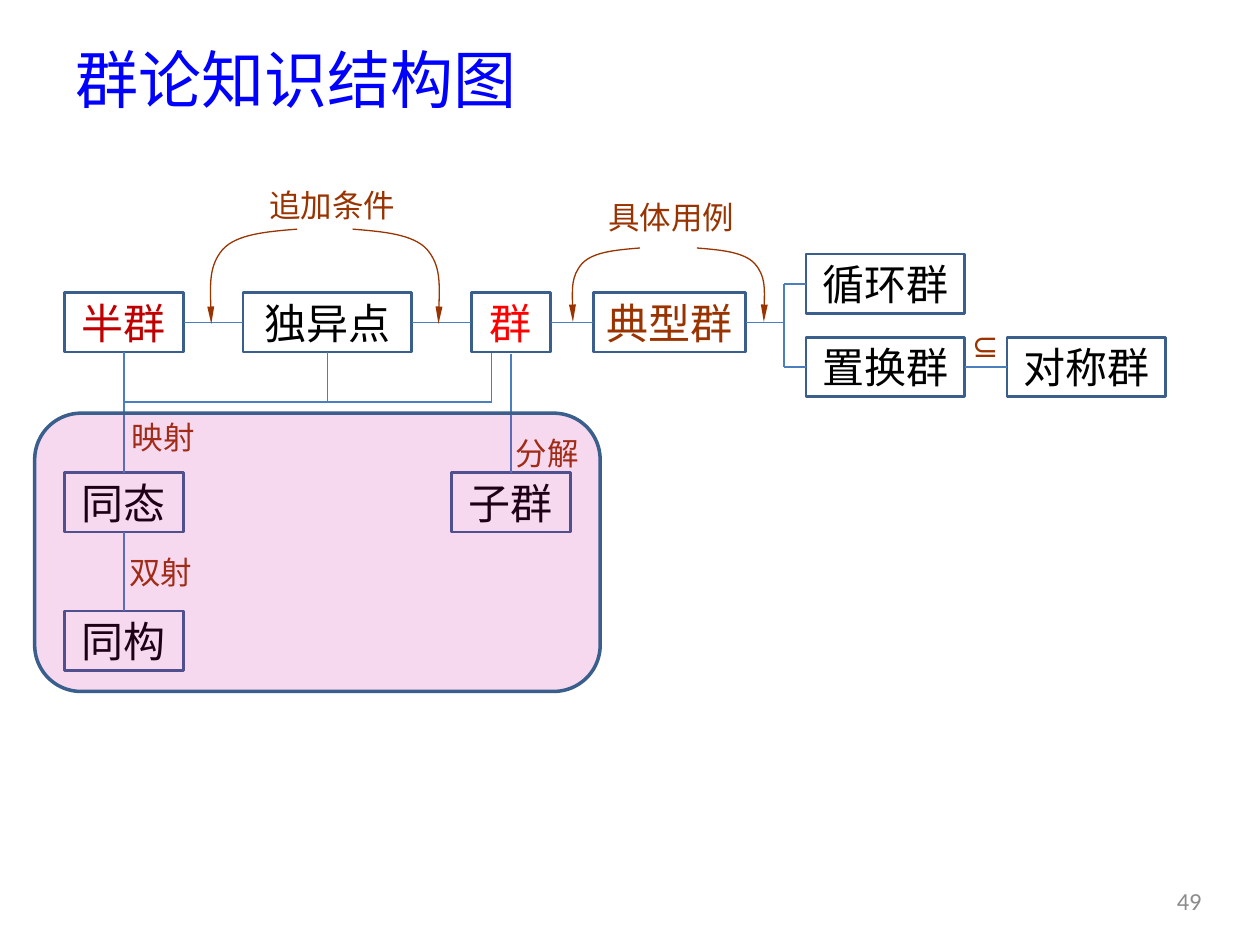
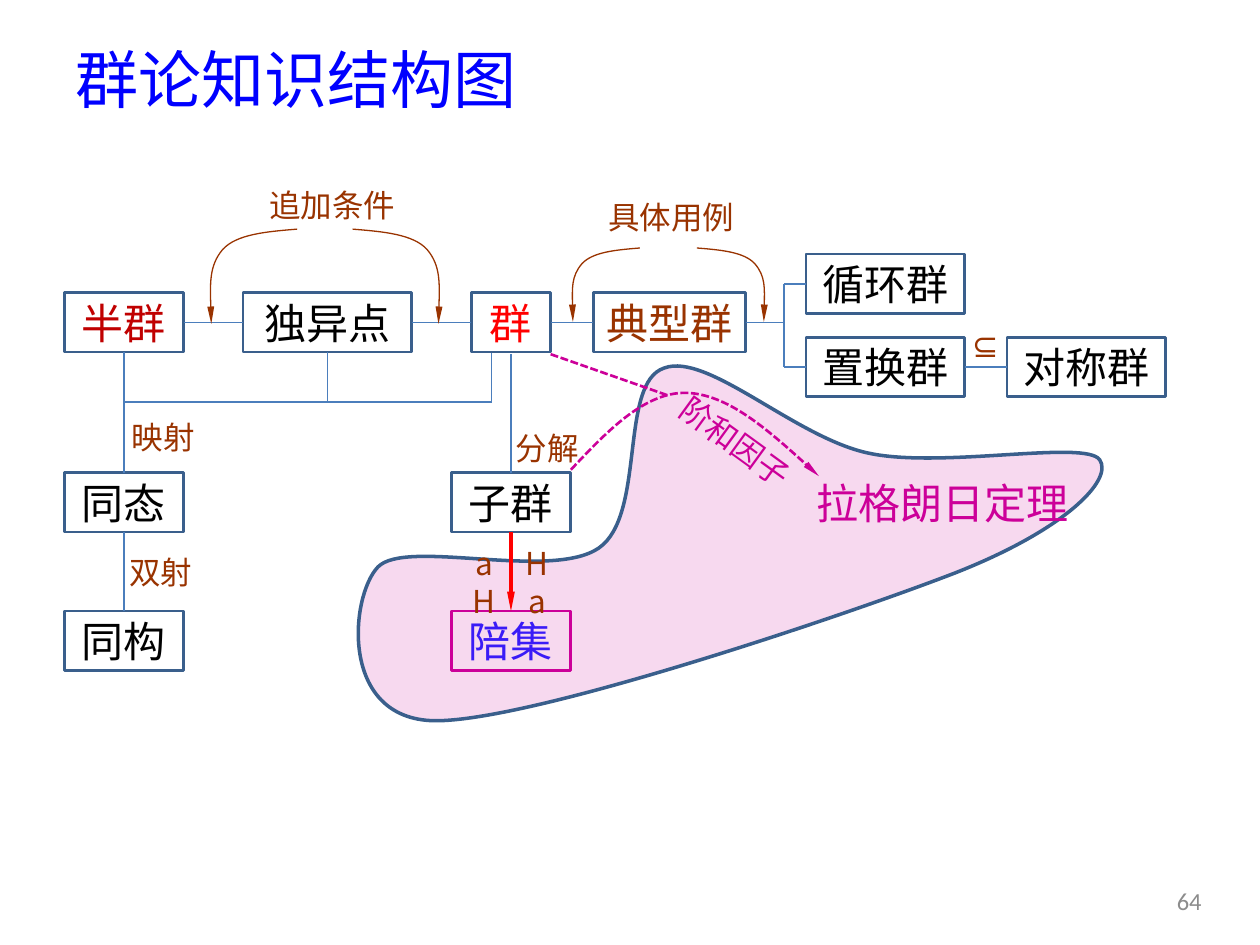
from lxml.etree import SubElement
from pptx import Presentation
from pptx.dml.color import RGBColor
from pptx.enum.dml import MSO_LINE
from pptx.enum.shapes import MSO_CONNECTOR, MSO_SHAPE
from pptx.enum.text import MSO_ANCHOR as ANCHOR, PP_ALIGN as ALIGN
from pptx.oxml.ns import qn
from pptx.util import Cm, Pt

# Colours
BLACK = RGBColor(0x00, 0x00, 0x00)
BLUE = RGBColor(0x00, 0x00, 0xFF)
VIOLET = RGBColor(0x3A, 0x1B, 0xF7)
RED = RGBColor(0xFF, 0x00, 0x00)
DARK_RED = RGBColor(0xC0, 0x00, 0x00)
BROWN = RGBColor(0x99, 0x33, 0x00)
MAGENTA = RGBColor(0xCC, 0x00, 0x99)
GREY = RGBColor(0x8C, 0x8C, 0x8C)
BORDER = RGBColor(0x3A, 0x5F, 0x8C)
LINK = RGBColor(0x4B, 0x7E, 0xBC)

# Fonts
SC = "Noto Sans CJK SC"
JP = "Noto Sans CJK JP"
LATIN = "Calibri"

# Connection sites and shared sizes (cm)
TOP, LEFT, BOTTOM, RIGHT = range(4)
BOX_H = 1.2
BOX_W = 2.4
WIDE_W = 3.2
MAIN_Y = 5.9
BAR_Y = 8.1
FORK_X = 15.8

# Left-hand arc as offsets from its start; the right-hand one is its mirror
ARC = [(-0.61, 0.05), (-1.22, 0.1), (-1.5, 0.41),
       (-1.78, 0.74), (-1.75, 1.32), (-1.73, 1.91)]

# Highlighted region around cosets and the Lagrange theorem
REGION = [(7.62, 11.43),
          (8.18, 10.85), (11.1, 11.71), (12.07, 11.05),
          (13.03, 10.39), (12.47, 7.72), (13.39, 7.42),
          (14.27, 7.09), (16.05, 8.84), (17.53, 9.14),
          (19, 9.45), (21.89, 8.86), (22.17, 9.27),
          (22.45, 9.68), (21.46, 10.69), (19.23, 11.56),
          (17, 12.42), (10.69, 14.55), (8.76, 14.53),
          (6.83, 14.5), (7.06, 12.01), (7.62, 11.43)]
ORDER_ARC = [(11.51, 9.47), (12.24, 8.69), (13, 7.9), (13.84, 7.92),
             (14.66, 7.95), (15.6, 8.76), (16.51, 9.6)]


def write(sp, text, size, color, font=SC, align=ALIGN.CENTER):
    tf = sp.text_frame
    tf.word_wrap = True
    tf.vertical_anchor = ANCHOR.MIDDLE
    p = tf.paragraphs[0]
    p.alignment = align
    r = p.add_run()
    r.text = text
    r.font.size = Pt(size)
    r.font.color.rgb = color
    r.font.name = font
    SubElement(r._r.get_or_add_rPr(), qn("a:ea")).set("typeface", font)


def label(s, text, x, y, w, h, size=18, color=BROWN, font=SC, align=ALIGN.CENTER):
    sp = s.shapes.add_textbox(Cm(x), Cm(y), Cm(w), Cm(h))
    write(sp, text, size, color, font, align)
    return sp


def stroke(sp, color, width, dashed=False, arrow=False):
    sp.line.color.rgb = color
    sp.line.width = Pt(width)
    if dashed:
        sp.line.dash_style = MSO_LINE.SQUARE_DOT
    if arrow:
        tail = SubElement(sp.line._get_or_add_ln(), qn("a:tailEnd"))
        for name, value in (("type", "triangle"), ("w", "sm"), ("len", "lg")):
            tail.set(name, value)


def box(s, text, x, y, w=BOX_W, color=BLACK, font=SC, border=BORDER):
    sp = s.shapes.add_shape(MSO_SHAPE.RECTANGLE, Cm(x), Cm(y), Cm(w), Cm(BOX_H))
    sp.shadow.inherit = False
    sp.fill.background()
    stroke(sp, border, 1.5)
    write(sp, text, 24, color, font)
    return sp


def line(s, start, end, color=LINK, width=1, **style):
    """Each end is a point in cm or a (box, site) pair."""
    def is_point(at):
        return isinstance(at[0], (int, float))

    ends = [Cm(v) for at in (start, end) for v in (at if is_point(at) else (0, 0))]
    cx = s.shapes.add_connector(MSO_CONNECTOR.STRAIGHT, *ends)
    if not is_point(start):
        cx.begin_connect(*start)
    if not is_point(end):
        cx.end_connect(*end)
    stroke(cx, color, width, **style)
    SubElement(cx._element.spPr, qn("a:effectLst"))


def curve(s, nodes, close=False):
    """Cubic curves: a start, then two control points and an end for each."""
    points = [(Cm(x), Cm(y)) for x, y in nodes]
    fb = s.shapes.build_freeform(*points[0])
    fb.add_line_segments(points[1:], close=close)
    sp = fb.convert_to_shape()
    # Merge every three straight segments into one cubic curve
    segments = list(sp._element.iter(qn("a:lnTo")))
    for i in range(0, len(nodes) - 1, 3):
        first, *others = segments[i:i + 3]
        first.tag = qn("a:cubicBezTo")
        for segment in others:
            first.append(segment[0])
            segment.getparent().remove(segment)
    sp.shadow.inherit = False
    sp.fill.background()
    return sp


def arc_pair(s, left_x, right_x, y, scale=1.0):
    for x, side in ((left_x, 1), (right_x, -1)):
        nodes = [(x, y)] + [(x + side * scale * dx, y + scale * dy) for dx, dy in ARC]
        stroke(curve(s, nodes), BROWN, 0.75, arrow=True)


def highlight(sp):
    """Translucent magenta area with a blue outline."""
    sp.shadow.inherit = False
    sp.fill.solid()
    sp.fill.fore_color.rgb = MAGENTA
    clr = sp._element.spPr.find(".//" + qn("a:srgbClr"))
    SubElement(clr, qn("a:alpha")).set("val", "15000")
    stroke(sp, BORDER, 2)


def frame(s, number):
    label(s, "群论知识结构图", 1.27, 0.68, 22.86, 1.8, 36, BLUE, align=ALIGN.LEFT)
    label(s, number, 23.24, 17.65, 1.47, 1.02, 14, GREY, LATIN)


def knowledge_map(s, decompose_y):
    """Draw the shared diagram and return the subgroup box."""
    # Main row
    semigroup = box(s, "半群", 1.3, MAIN_Y, color=DARK_RED)
    monoid = box(s, "独异点", 4.9, MAIN_Y, 3.4)
    group = box(s, "群", 9.5, MAIN_Y, 1.6, RED, JP)
    typical = box(s, "典型群", 11.96, MAIN_Y, 3.07, BROWN, JP)
    row = [semigroup, monoid, group, typical]
    for a, b in zip(row, row[1:]):
        line(s, (a, RIGHT), (b, LEFT))

    # Typical groups
    cyclic = box(s, "循环群", 16.25, 5.12, WIDE_W)
    permutation = box(s, "置换群", 16.25, 6.8, WIDE_W)
    symmetric = box(s, "对称群", 20.3, 6.8, WIDE_W)
    line(s, (typical, RIGHT), (FORK_X, MAIN_Y + BOX_H / 2))
    line(s, (FORK_X, 5.72), (FORK_X, 7.4))
    line(s, (FORK_X, 5.72), (cyclic, LEFT))
    line(s, (FORK_X, 7.4), (permutation, LEFT))
    line(s, (permutation, RIGHT), (symmetric, LEFT))
    label(s, "⊆", 19.35, 6.65, 1, 0.61, font=LATIN)

    # Mappings
    homomorphism = box(s, "同态", 1.3, 9.53)
    isomorphism = box(s, "同构", 1.3, 12.32)
    line(s, (semigroup, BOTTOM), (homomorphism, TOP))
    line(s, (homomorphism, BOTTOM), (isomorphism, TOP))
    line(s, (monoid, BOTTOM), (6.6, BAR_Y))
    line(s, (9.91, 7.11), (9.91, BAR_Y))
    line(s, (2.5, BAR_Y), (9.91, BAR_Y))
    label(s, "映射", 2.29, 8.41, 2, 0.79)
    label(s, "双射", 2.34, 11.13, 1.8, 0.79)

    # Decomposition
    subgroup = box(s, "子群", 9.1, 9.53)
    line(s, (10.3, 7.14), (subgroup, TOP))
    label(s, "分解", 10.03, decompose_y, 2, 0.79)

    # Arc notes
    label(s, "追加条件", 5.1, 3.53, 3.2, 1.19)
    arc_pair(s, 5.99, 7.11, 4.62)
    label(s, "具体用例", 11.73, 3.78, 3.6, 1.19)
    arc_pair(s, 12.9, 14.05, 5, 0.78)
    return subgroup


def mapping_slide(prs):
    s = prs.slides.add_slide(prs.slide_layouts[6])
    frame(s, "49")
    knowledge_map(s, 8.74)
    highlight(s.shapes.add_shape(MSO_SHAPE.ROUNDED_RECTANGLE,
                                 Cm(0.7), Cm(8.33), Cm(11.4), Cm(5.61)))


def lagrange_slide(prs):
    s = prs.slides.add_slide(prs.slide_layouts[6])
    highlight(curve(s, REGION, close=True))
    frame(s, "64")
    subgroup = knowledge_map(s, 8.64)

    # Lagrange theorem
    label(s, "拉格朗日定理", 16.1, 9.53, 5.8, 1.19, 24, MAGENTA)
    stroke(curve(s, ORDER_ARC), MAGENTA, 1.5, dashed=True, arrow=True)
    line(s, (11.1, 7.14), (13.49, 7.98), MAGENTA, 1.5, dashed=True)
    label(s, "阶和因子", 13.13, 8.41, 3.4, 0.99, color=MAGENTA).rotation = 36

    # Cosets
    coset = box(s, "陪集", 9.1, 12.32, color=VIOLET, border=MAGENTA)
    line(s, (subgroup, BOTTOM), (coset, TOP), RED, 2.25, arrow=True)
    label(s, "aH", 9.17, 11.13, 1.19, 1.19)
    label(s, "Ha", 10.24, 11.23, 1.17, 0.99)


def main():
    prs = Presentation()
    prs.slide_width = Cm(25.4)
    prs.slide_height = Cm(19.05)
    mapping_slide(prs)
    lagrange_slide(prs)
    prs.save("out.pptx")


if __name__ == "__main__":
    main()
